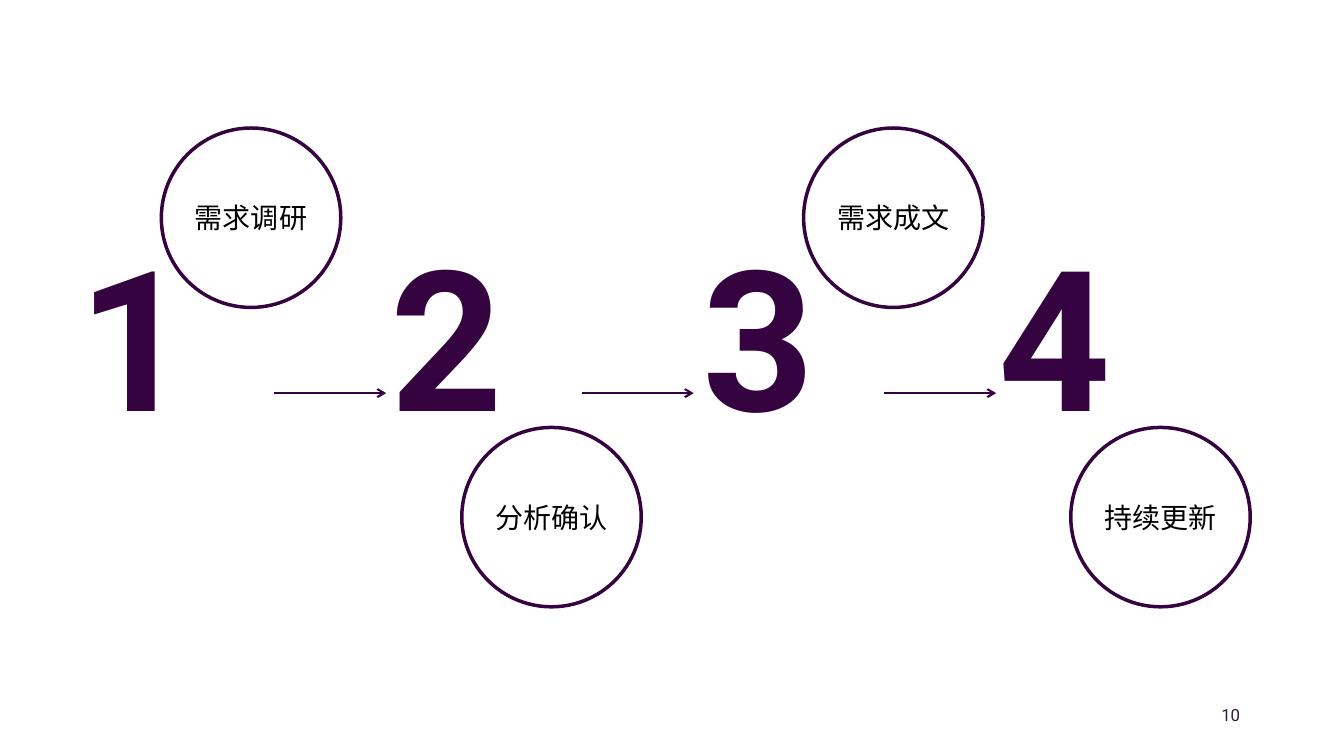
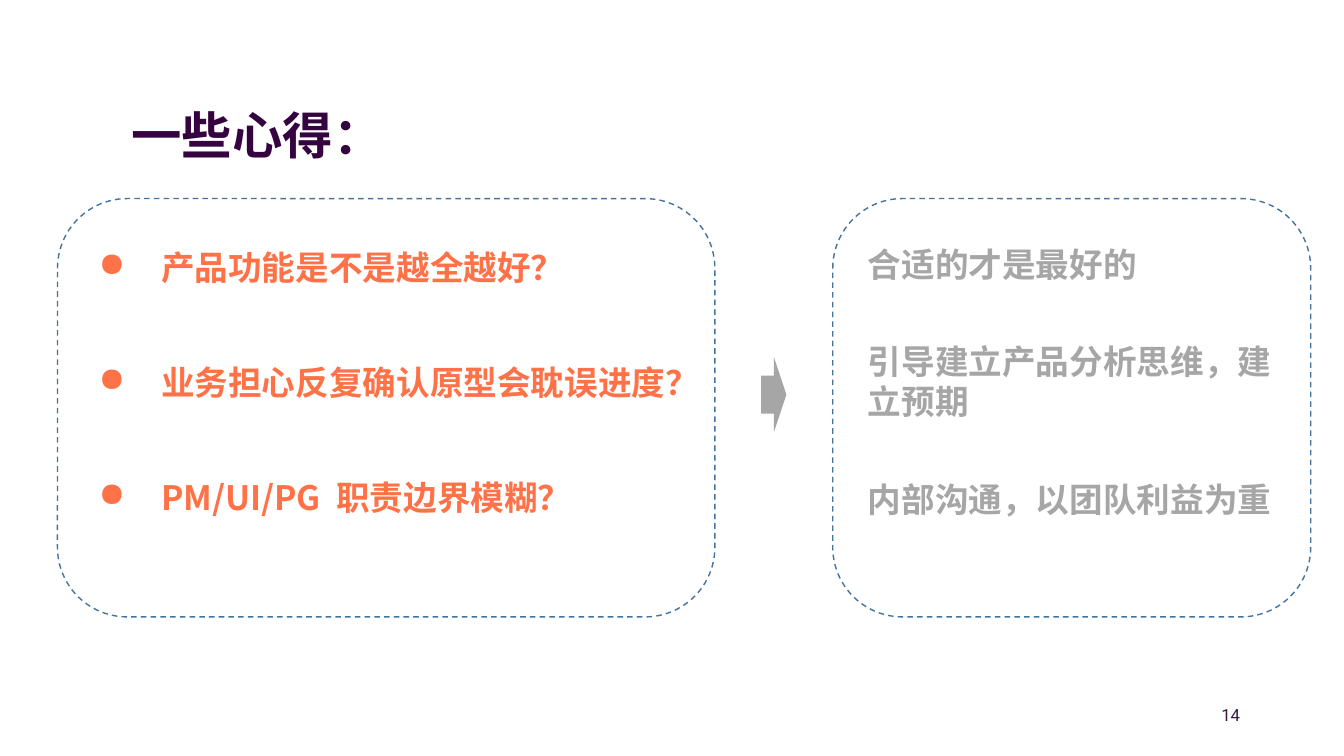
from dataclasses import dataclass

from lxml import etree
from pptx import Presentation, util as u
from pptx.dml.color import RGBColor
from pptx.enum import dml, shapes, text
from pptx.oxml.ns import qn

PX = 9144  # EMU per px, 100 px to the inch


@dataclass(frozen=True)
class Theme:
    purple: str = "350440"
    page: str = "351940"
    orange: str = "FF7247"
    gray: str = "A6A6A6"
    blue: str = "43739E"
    black: str = "000000"
    white: str = "FFFFFF"
    latin: str = "Roboto"
    cjk: str = "Noto Sans CJK SC"
    digit: int = 140
    title: int = 36
    body: int = 24
    label: int = 20
    small: int = 12


T = Theme()
LEFT, CENTER, RIGHT = (text.PP_ALIGN.LEFT, text.PP_ALIGN.CENTER,
                       text.PP_ALIGN.RIGHT)
TOP, MIDDLE = text.MSO_ANCHOR.TOP, text.MSO_ANCHOR.MIDDLE


def px(*lengths):
    return [u.Emu(n * PX) for n in lengths]


def add_xml(parent, tag, **attrs):
    return etree.SubElement(parent, qn(tag), attrs)


class Deck:
    def __init__(self):
        self.prs = Presentation()
        self.prs.slide_width, self.prs.slide_height = px(1333, 750)
        self.s = None

    def slide(self, number):
        self.s = self.prs.slides.add_slide(self.prs.slide_layouts[6])
        self.text((1165, 699, 65, 21), str(number), T.small, T.page,
                  align=RIGHT, anchor=MIDDLE, inset=0)

    def set_text(self, sp, words, size, color, font=T.latin, bold=False,
                 align=LEFT, anchor=TOP, inset=None, wrap=True, bullet=None):
        tf = sp.text_frame
        tf.word_wrap, tf.vertical_anchor = wrap, anchor
        if inset is not None:
            tf.margin_left = tf.margin_right = u.Emu(inset * PX)
            tf.margin_top = tf.margin_bottom = u.Emu(inset * PX)
        p = tf.paragraphs[0]
        p.text, p.alignment = words, align
        pPr = p._p.get_or_add_pPr()
        if bullet:
            indent = 62 * PX
            pPr.set("marL", str(indent))
            pPr.set("indent", str(-indent))
            add_xml(add_xml(pPr, "a:buClr"), "a:srgbClr", val=color)
            add_xml(pPr, "a:buChar", char=bullet)
        p.font.size, p.font.bold, p.font.name = u.Pt(size), bold, font
        p.font.color.rgb = RGBColor.from_string(color)
        add_xml(pPr.find(qn("a:defRPr")), "a:ea", typeface=T.cjk)

    def text(self, box, words, size, color, **style):
        sp = self.s.shapes.add_textbox(*px(*box))
        self.set_text(sp, words, size, color, **style)

    def shape(self, kind, box, fill, line=None, width=1, dash=None):
        sp = self.s.shapes.add_shape(kind, *px(*box))
        sp.shadow.inherit = False
        sp.fill.solid()
        sp.fill.fore_color.rgb = RGBColor.from_string(fill)
        if line:
            sp.line.color.rgb = RGBColor.from_string(line)
            sp.line.width = u.Pt(width)
            sp.line.dash_style = dash
        else:
            sp.line.fill.background()
        return sp

    def circle(self, x, y, words):
        sp = self.shape(shapes.MSO_SHAPE.OVAL, (x, y, 178, 178),
                        T.white, T.purple, 2.5)
        self.set_text(sp, words, T.label, T.black, align=CENTER,
                      anchor=MIDDLE, inset=0, wrap=False)

    def panel(self, x, width):
        self.shape(shapes.MSO_SHAPE.ROUNDED_RECTANGLE, (x, 197, width, 415),
                   T.white, T.blue, 1, dml.MSO_LINE.DASH)

    def arrow(self, x, y, length):
        c = self.s.shapes.add_connector(shapes.MSO_CONNECTOR.STRAIGHT,
                                        *px(x, y, x + length, y))
        c.line.color.rgb = RGBColor.from_string(T.purple)
        c.line.width = u.Pt(1.5)
        spPr = c._element.spPr
        add_xml(spPr.find(qn("a:ln")), "a:tailEnd", type="arrow")
        add_xml(spPr, "a:effectLst")


def steps_slide(d):
    d.slide(10)
    high, low = 127, 424
    steps = [(62, 160, high, "需求调研"), (372, 458, low, "分析确认"),
             (681, 797, high, "需求成文"), (975, 1062, low, "持续更新")]
    for n, (digit_x, circle_x, circle_y, words) in enumerate(steps, 1):
        d.text((digit_x, 209, 143, 246), str(n), T.digit, T.purple,
               bold=True, align=CENTER)
        d.circle(circle_x, circle_y, words)
    for x in (272, 577, 877):
        d.arrow(x, 390, 111)


def lessons_slide(d):
    d.slide(14)
    strong = dict(font=T.cjk, bold=True)
    d.text((67, 94, 377, 79), "一些心得：", T.title, T.purple,
           align=CENTER, anchor=MIDDLE, wrap=False, **strong)
    d.panel(57, 652)
    d.panel(826, 474)
    questions = ["产品功能是不是越全越好？", "业务担心反复确认原型会耽误进度？",
                 "PM/UI/PG  职责边界模糊？"]
    for i, words in enumerate(questions):
        d.text((88, 240 + 114 * i, 622, 50), words, T.body, T.orange,
               wrap=False, bullet="●", **strong)
    answers = [(237, 50, "合适的才是最好的"),
               (333, 91, "引导建立产品分析思维，建立预期"),
               (470, 50, "内部沟通，以团队利益为重")]
    for y, height, words in answers:
        d.text((851, y, 422, height), words, T.body, T.gray, **strong)
    d.shape(shapes.MSO_SHAPE.RIGHT_ARROW, (755, 354, 25, 75), T.gray)


def main():
    d = Deck()
    steps_slide(d)
    lessons_slide(d)
    d.prs.save("out.pptx")


if __name__ == "__main__":
    main()
